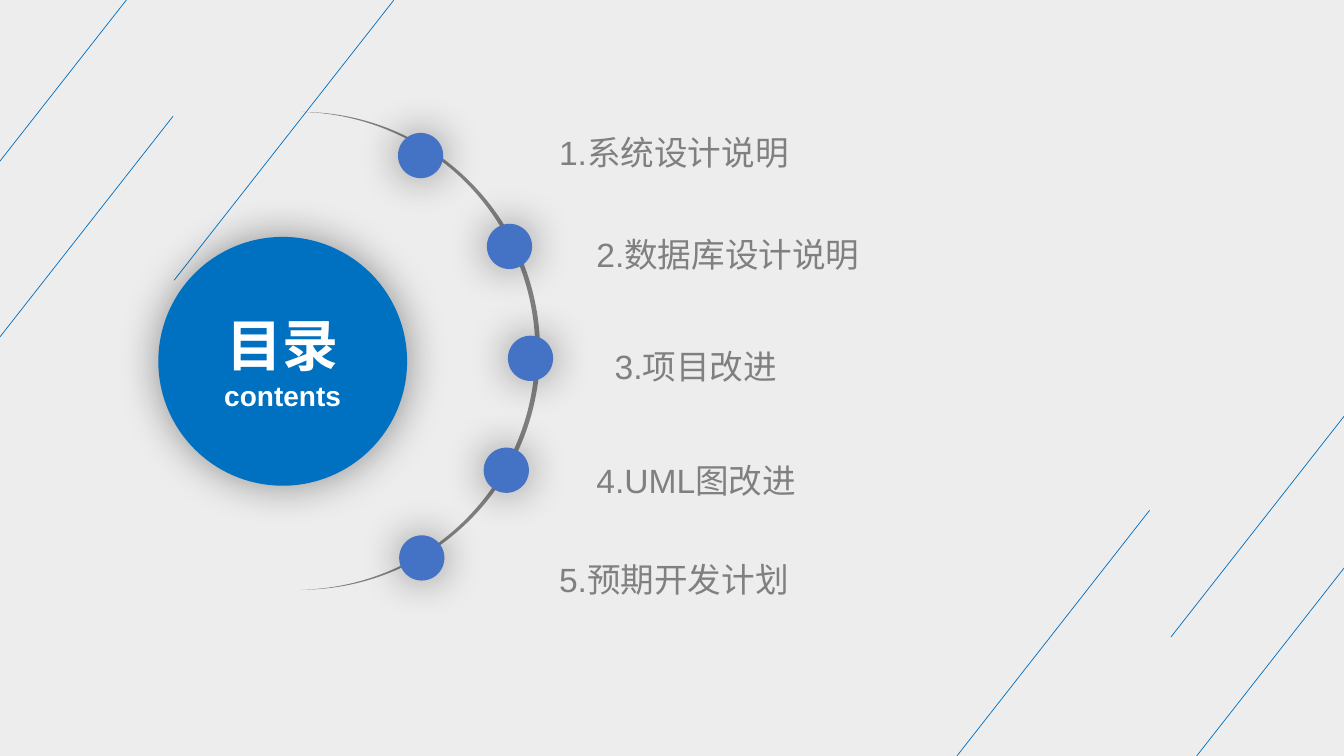
from lxml import etree
from pptx import Presentation
from pptx import util as u
from pptx.dml.color import RGBColor
from pptx.enum import shapes, text
from pptx.oxml import ns

SLIDE_WIDTH, SLIDE_HEIGHT = 33.87, 19.05
STRIPE_RUN, STRIPE_RISE = 5.53, 7.05
DOT_SIZE = 1.14
STRIPE_STARTS = [(23.44, 19.91), (29.51, 16.05), (-1.17, 9.98),
                 (4.39, 7.06), (28.98, 20.55), (0, 4.06)]
CHAPTERS = [
    ("1.系统设计说明", (13.84, 2.69), 14.96, (10.03, 3.35)),
    ("2.数据库设计说明", (14.78, 5.26), 12.19, (12.27, 5.64)),
    ("3.项目改进", (15.24, 8.08), 12.19, (12.8, 8.46)),
    ("4.UML图改进", (14.78, 10.95), 12.19, (12.19, 11.28)),
    ("5.预期开发计划", (13.84, 13.44), 12.19, (10.06, 13.49)),
]


def rgb(code):
    return RGBColor.from_string(code)


class ContentsSlide:
    """Holds the style and the slide, and draws each kind of element."""

    font = "Arial"
    blue, dot_blue, grey, white = "0070C0", "4472C4", "808080", "FFFFFF"

    def __init__(self, slide):
        self.slide = slide

    def shape(self, kind, left, top, width, height, color):
        shape = self.slide.shapes.add_shape(
            kind, u.Cm(left), u.Cm(top), u.Cm(width), u.Cm(height))
        shape.shadow.inherit = False
        shape.fill.solid()
        shape.fill.fore_color.rgb = rgb(color)
        shape.line.fill.background()
        return shape

    def backdrop(self, color, opacity):
        panel = self.shape(shapes.MSO_SHAPE.RECTANGLE, 0, 0,
                           SLIDE_WIDTH, SLIDE_HEIGHT, color)
        tint = panel.fill._xPr.find(".//" + ns.qn("a:srgbClr"))
        etree.SubElement(tint, ns.qn("a:alpha"), val=str(opacity * 1000))

    def stripe(self, left, bottom):
        stripe = self.slide.shapes.add_connector(
            shapes.MSO_CONNECTOR.STRAIGHT, u.Cm(left), u.Cm(bottom),
            u.Cm(left + STRIPE_RUN), u.Cm(bottom - STRIPE_RISE))
        stripe.line.color.rgb = rgb(self.blue)
        stripe.line.width = u.Pt(0.5)
        etree.SubElement(stripe._element.spPr, ns.qn("a:effectLst"))

    def glowing_disc(self, left, top, size, color):
        disc = self.shape(shapes.MSO_SHAPE.OVAL, left, top, size, size, color)
        effects = disc._element.spPr.find(ns.qn("a:effectLst"))
        glow = etree.SubElement(effects, ns.qn("a:outerShdw"),
                                blurRad=str(u.Pt(30)), dist="0", dir="0",
                                algn="ctr", rotWithShape="0")
        black = etree.SubElement(glow, ns.qn("a:srgbClr"), val="000000")
        etree.SubElement(black, ns.qn("a:alpha"), val="40000")
        return disc

    def arc(self, left, top, width, height, thickness):
        arc = self.shape(shapes.MSO_SHAPE.MOON, left, top, width, height, self.grey)
        arc.adjustments[0] = thickness
        arc.rotation = 180

    def run(self, paragraph, words, size, color, bold=False):
        run = paragraph.add_run()
        run.text = words
        run.font.name = self.font
        run.font.size = u.Pt(size)
        run.font.bold = bold
        run.font.color.rgb = rgb(color)

    def title_disc(self, left, top, size, lines):
        frame = self.glowing_disc(left, top, size, self.blue).text_frame
        frame.vertical_anchor = text.MSO_ANCHOR.MIDDLE
        for index, (words, points) in enumerate(lines):
            paragraph = frame.add_paragraph() if index else frame.paragraphs[0]
            paragraph.alignment = text.PP_ALIGN.CENTER
            self.run(paragraph, words, points, self.white, bold=True)

    def chapter(self, words, left, top, width):
        box = self.slide.shapes.add_textbox(
            u.Cm(left), u.Cm(top), u.Cm(width), u.Cm(1.63))
        frame = box.text_frame
        frame.word_wrap = True
        frame.auto_size = text.MSO_AUTO_SIZE.SHAPE_TO_FIT_TEXT
        paragraph = frame.paragraphs[0]
        paragraph.line_spacing = 1.5
        self.run(paragraph, words, 24, self.grey)


def main():
    deck = Presentation()
    deck.slide_width, deck.slide_height = u.Cm(SLIDE_WIDTH), u.Cm(SLIDE_HEIGHT)
    contents = ContentsSlide(deck.slides.add_slide(deck.slide_layouts[6]))

    contents.backdrop("D9D9D9", 46)
    for start in STRIPE_STARTS:
        contents.stripe(*start)
    for words, corner, width, _ in CHAPTERS:
        contents.chapter(words, *corner, width)
    contents.title_disc(3.99, 5.97, 6.27, [("目录", 40), ("contents", 20)])
    contents.arc(7.59, 2.82, 6.02, 12.04, 0.02)
    for *_, dot in CHAPTERS:
        contents.glowing_disc(*dot, DOT_SIZE, contents.dot_blue)

    deck.save("out.pptx")


if __name__ == "__main__":
    main()
